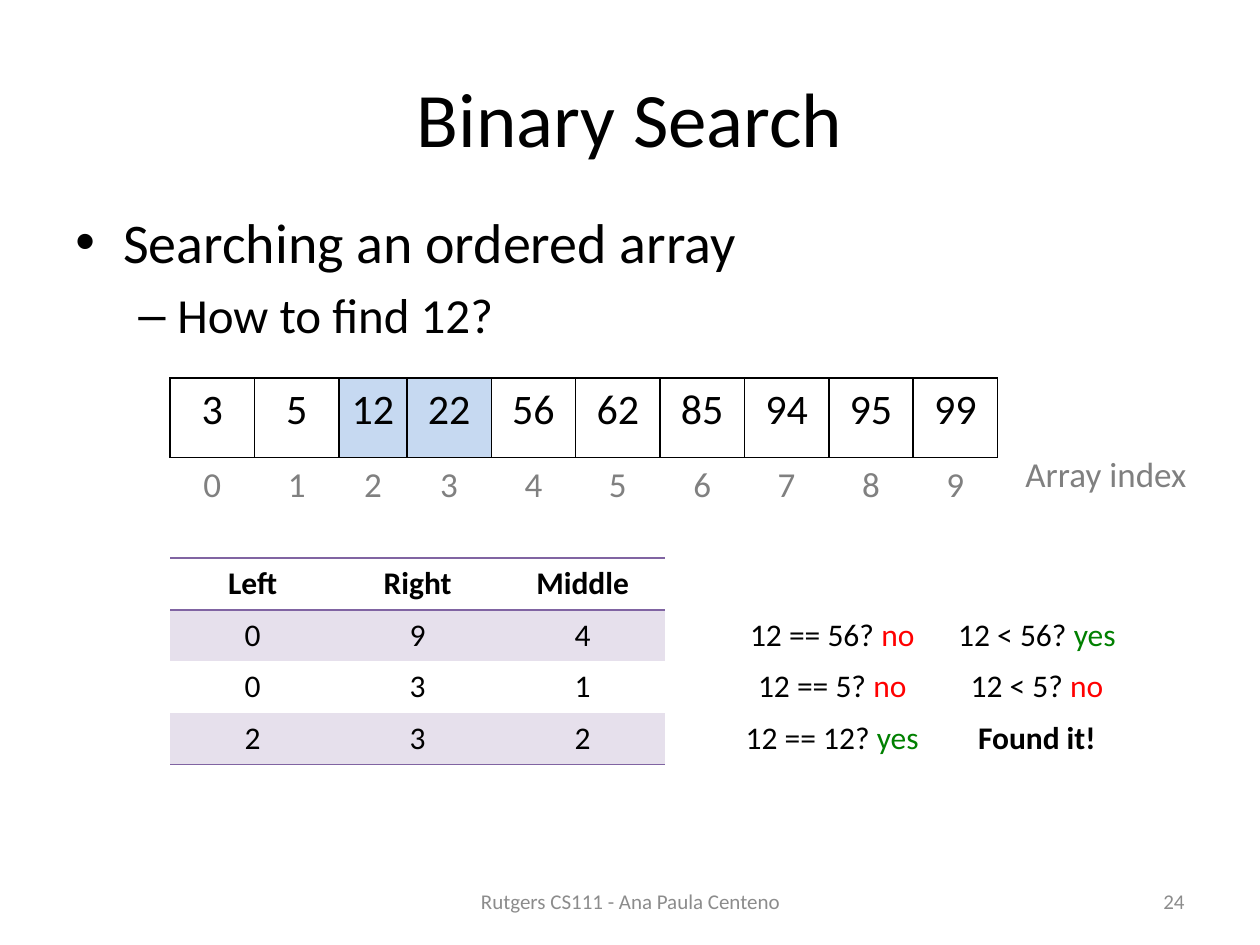
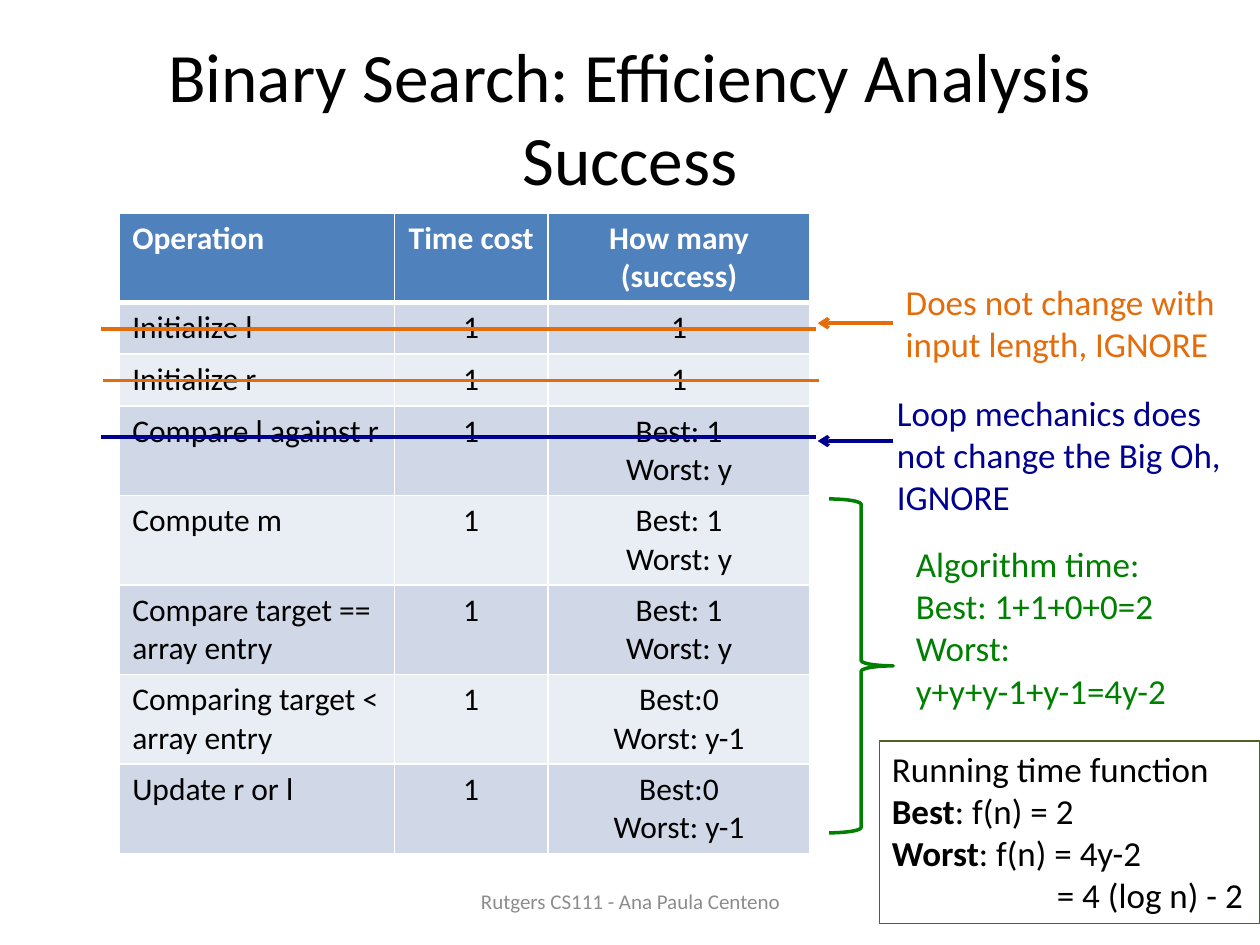
"""Build two lecture slides on binary search and its efficiency."""
from dataclasses import dataclass, field

from lxml import etree
from pptx import Presentation
from pptx.dml.color import RGBColor
from pptx.enum.shapes import MSO_CONNECTOR, MSO_SHAPE
from pptx.enum.text import MSO_ANCHOR, MSO_AUTO_SIZE, PP_ALIGN
from pptx.oxml.ns import qn
from pptx.util import Inches, Pt

LEFT, CENTER, RIGHT = PP_ALIGN.LEFT, PP_ALIGN.CENTER, PP_ALIGN.RIGHT
TOP, MIDDLE = MSO_ANCHOR.TOP, MSO_ANCHOR.MIDDLE
FIT, NO_FIT = MSO_AUTO_SIZE.SHAPE_TO_FIT_TEXT, MSO_AUTO_SIZE.NONE
STRAIGHT = MSO_CONNECTOR.STRAIGHT
RECT, BRACE = MSO_SHAPE.RECTANGLE, MSO_SHAPE.RIGHT_BRACE
LEFT_SIDE = 1


@dataclass(frozen=True)
class Theme:
    font: str = "Calibri"
    black: str = "000000"
    white: str = "FFFFFF"
    grey: str = "808080"
    footer_grey: str = "8C8C8C"
    highlight: str = "C6D9F1"
    purple: str = "8064A2"
    lilac: str = "E6E0EC"
    blue: str = "4F81BD"
    band_dark: str = "D0D8E8"
    band_light: str = "E9EDF4"
    red: str = "FF0000"
    green: str = "008000"
    orange: str = "E46C0A"
    navy: str = "000090"
    olive: str = "4F6228"
    title: float = 44
    long_title: float = 39.6
    bullet: float = 32
    sub_bullet: float = 28
    value: float = 24
    note: float = 20
    cell: float = 18
    footer: float = 12
    rule: float = 1
    heavy_rule: float = 3
    stroke: float = 2
    hairline: float = 0.75


T = Theme()


@dataclass
class Look:
    size: float = T.cell
    color: str = T.black
    bold: bool = False
    align: PP_ALIGN = CENTER
    fill: str = ""
    edges: dict = field(default_factory=dict)


class Deck:
    def __init__(self, theme):
        self.t = theme
        self.prs = Presentation()
        self.prs.slide_width, self.prs.slide_height = Inches(10), Inches(7.5)
        self.s = None

    def slide(self, title, size, number=None):
        self.s = self.prs.slides.add_slide(self.prs.slide_layouts[5])
        sp = self.s.shapes.title
        sp.left, sp.top, sp.width, sp.height = map(Inches, (0.5, 0.3, 9, 1.25))
        sp.text_frame.auto_size = NO_FIT
        sp.text_frame.vertical_anchor = MIDDLE
        self.set_text(sp.text_frame, [title], Look(size))
        self.text(3.42, 6.95, 3.17, 0.4, ["Rutgers CS111 - Ana Paula Centeno"],
                  Look(self.t.footer, self.t.footer_grey), MIDDLE, NO_FIT)
        if number:
            self.text(7.17, 6.95, 2.33, 0.4, [number],
                      Look(self.t.footer, self.t.footer_grey, align=RIGHT), MIDDLE, NO_FIT)

    def set_text(self, tf, paragraphs, look):
        tf.word_wrap = True
        for i, content in enumerate(paragraphs):
            p = tf.add_paragraph() if i else tf.paragraphs[0]
            p.alignment = look.align
            parts = [(content, {})] if isinstance(content, str) else content
            for text, change in parts:
                r = p.add_run()
                r.text = text
                r.font.name = self.t.font
                r.font.size = Pt(look.size)
                r.font.bold = change.get("bold", look.bold)
                r.font.color.rgb = RGBColor.from_string(change.get("color", look.color))

    def text(self, x, y, w, h, paragraphs, look, anchor=TOP, fit=FIT):
        sp = self.s.shapes.add_textbox(*map(Inches, (x, y, w, h)))
        sp.text_frame.auto_size = fit
        sp.text_frame.vertical_anchor = anchor
        self.set_text(sp.text_frame, paragraphs, look)
        return sp

    def indent(self, p, margin, hanging=0, bullet=None):
        pPr = p._p.get_or_add_pPr()
        pPr.set("marL", str(Inches(margin)))
        pPr.set("indent", str(-Inches(hanging)))
        if bullet:
            etree.SubElement(pPr, qn("a:buFont")).set("typeface", "Arial")
            etree.SubElement(pPr, qn("a:buChar")).set("char", bullet)

    def bullets(self, x, y, w, h, main, sub):
        sp = self.text(x, y, w, h, [main, sub], Look(self.t.bullet, align=LEFT), fit=NO_FIT)
        first, second = sp.text_frame.paragraphs
        second.level = 1
        second.space_before = Pt(self.t.sub_bullet * 0.2)
        second.runs[0].font.size = Pt(self.t.sub_bullet)
        self.indent(first, 0.38, 0.38, "•")
        self.indent(second, 0.81, 0.31, "–")

    def border(self, cell, edges):
        tcPr = cell._tc.get_or_add_tcPr()
        for side in "LRTB":
            ln = etree.SubElement(tcPr, qn("a:ln" + side))
            if side in edges:
                color, width = edges[side]
                ln.set("w", str(Pt(width)))
                fill = etree.SubElement(ln, qn("a:solidFill"))
                etree.SubElement(fill, qn("a:srgbClr")).set("val", color)
            else:
                etree.SubElement(ln, qn("a:noFill"))

    def table(self, x, y, widths, heights, rows, look_at):
        size = map(Inches, (x, y, sum(widths), sum(heights)))
        tbl = self.s.shapes.add_table(len(rows), len(widths), *size).table
        tbl.first_row = tbl.horz_banding = False
        for column, width in zip(tbl.columns, widths):
            column.width = Inches(width)
        for row, height in zip(tbl.rows, heights):
            row.height = Inches(height)
        for i, row in enumerate(rows):
            for j, content in enumerate(row):
                cell, look = tbl.cell(i, j), look_at(i, j)
                self.border(cell, look.edges)
                if look.fill:
                    cell.fill.solid()
                    cell.fill.fore_color.rgb = RGBColor.from_string(look.fill)
                else:
                    cell.fill.background()
                if content:
                    paragraphs = content.split("\n") if isinstance(content, str) else [content]
                    self.set_text(cell.text_frame, paragraphs, look)

    def line(self, x1, x2, y, color, arrow=False, start=None):
        ends = map(Inches, (x1, y, x2, y))
        cx = self.s.shapes.add_connector(STRAIGHT, *ends)
        if start is not None:
            cx.begin_connect(start, LEFT_SIDE)
            cx.end_y = cx.begin_y
        cx.line.color.rgb = RGBColor.from_string(color)
        cx.line.width = Pt(self.t.stroke)
        spPr = cx._element.spPr
        if arrow:
            etree.SubElement(spPr.find(qn("a:ln")), qn("a:tailEnd")).set("type", "arrow")
        etree.SubElement(spPr, qn("a:effectLst"))

    def shape(self, kind, x, y, w, h, line, width, fill=None):
        sp = self.s.shapes.add_shape(kind, *map(Inches, (x, y, w, h)))
        sp.shadow.inherit = False
        sp.line.color.rgb = RGBColor.from_string(line)
        sp.line.width = Pt(width)
        if fill:
            sp.fill.solid()
            sp.fill.fore_color.rgb = RGBColor.from_string(fill)
        else:
            sp.fill.background()
        return sp


def array_look(i, j):
    edge = (T.black, T.rule)
    if i:
        return Look(T.note, T.grey, edges={"T": edge})
    fill = T.highlight if j in (2, 3) else ""
    return Look(T.value, fill=fill, edges=dict.fromkeys("LRTB", edge))


def step_look(i, j):
    sides = ("TB", "T", "", "B")[i]
    return Look(bold=i == 0, fill=T.lilac if i % 2 else "",
                edges=dict.fromkeys(sides, (T.purple, T.rule)))


def cost_look(i, j):
    edges = dict.fromkeys("LRTB", (T.white, T.rule))
    align = CENTER if j else LEFT
    if i == 0:
        edges["B"] = (T.white, T.heavy_rule)
        return Look(color=T.white, bold=True, align=align, fill=T.blue, edges=edges)
    if i == 1:
        edges["T"] = (T.white, T.heavy_rule)
    return Look(align=align, fill=T.band_dark if i % 2 else T.band_light, edges=edges)


def search_slide(deck):
    deck.slide("Binary Search", T.title, "24")
    deck.bullets(0.5, 1.6, 9.5, 1.84, "Searching an ordered array", "How to find 12?")

    values = [3, 5, 12, 22, 56, 62, 85, 94, 95, 99]
    widths = [0.54 if value == 12 else 0.67 for value in values]
    array = [[str(value) for value in values], [str(i) for i in range(len(values))]]
    deck.table(1.35, 3, widths, [0.63] * 2, array, array_look)
    deck.text(8.04, 3.54, 1.59, 0.44, ["Array index"], Look(T.note, T.grey, align=LEFT))

    steps = [["Left", "Right", "Middle"], ["0", "9", "4"], ["0", "3", "1"], ["2", "3", "2"]]
    deck.table(1.35, 4.43, [1.31] * 3, [0.41] * 4, steps, step_look)

    yes, no = ("yes", {"color": T.green}), ("no", {"color": T.red})
    checks = [
        ["", ""],
        [[("12 == 56? ", {}), no], [("12 < 56? ", {}), yes]],
        [[("12 == 5? ", {}), no], [("12 < 5? ", {}), no]],
        [[("12 == 12? ", {}), yes], [("Found it!", {"bold": True})]],
    ]
    deck.table(5.76, 4.43, [1.69, 1.56], [0.41] * 4, checks, lambda i, j: Look())


def efficiency_slide(deck):
    deck.slide("Binary Search: Efficiency Analysis Success", T.long_title)

    loop, branch = "Best: 1\nWorst: y", "Best:0\nWorst: y-1"
    costs = [
        ("Initialize l", "1"),
        ("Initialize r", "1"),
        ("Compare l against r", loop),
        ("Compute m", loop),
        ("Compare target == array entry", loop),
        ("Comparing target < array entry", branch),
        ("Update r or l", branch),
    ]
    rows = [["Operation", "Time cost", "How many (success)"]]
    rows += [[operation, "1", count] for operation, count in costs]
    heights = [0.7] + [0.7 if "\n" in count else 0.41 for _, count in costs]
    deck.table(0.95, 1.69, [2.18, 1.22, 2.08], heights, rows, cost_look)

    constant = deck.text(7.09, 2.18, 2.8, 0.77, ["Does not change with input length, IGNORE"],
                         Look(T.note, T.orange, align=LEFT))
    deck.line(7.09, 6.49, 2.57, T.orange, arrow=True, start=constant)
    deck.text(7.02, 3.06, 2.8, 1.11, ["Loop mechanics does not change the Big Oh, IGNORE"],
              Look(T.note, T.navy, align=LEFT))
    deck.line(7.09, 6.49, 3.5, T.navy, arrow=True)
    for x, y, color in ((0.8, 2.61, T.orange), (0.82, 3.02, T.orange), (0.8, 3.47, T.navy)):
        deck.line(x, x + 5.68, y, color)

    deck.text(7.17, 4.26, 2.52, 1.45,
              ["Algorithm time:", "Best: 1+1+0+0=2", "Worst: y+y+y-1+y-1=4y-2"],
              Look(T.note, T.green, align=LEFT))
    deck.shape(BRACE, 6.58, 3.96, 0.51, 2.65, T.green, T.stroke)

    result = deck.shape(RECT, 6.98, 5.88, 3.02, 1.45, T.olive, T.hairline, T.white)
    tf = result.text_frame
    tf.auto_size, tf.vertical_anchor = FIT, TOP
    bold = {"bold": True}
    deck.set_text(tf, ["Running time function",
                       [("Best", bold), (": f(n) = 2", {})],
                       [("Worst", bold), (": f(n) = 4y-2", {})],
                       "= 4 (log n) - 2"], Look(T.note, align=LEFT))
    deck.indent(tf.paragraphs[-1], 1.31)


def main():
    deck = Deck(T)
    search_slide(deck)
    efficiency_slide(deck)
    deck.prs.save("out.pptx")


if __name__ == "__main__":
    main()
